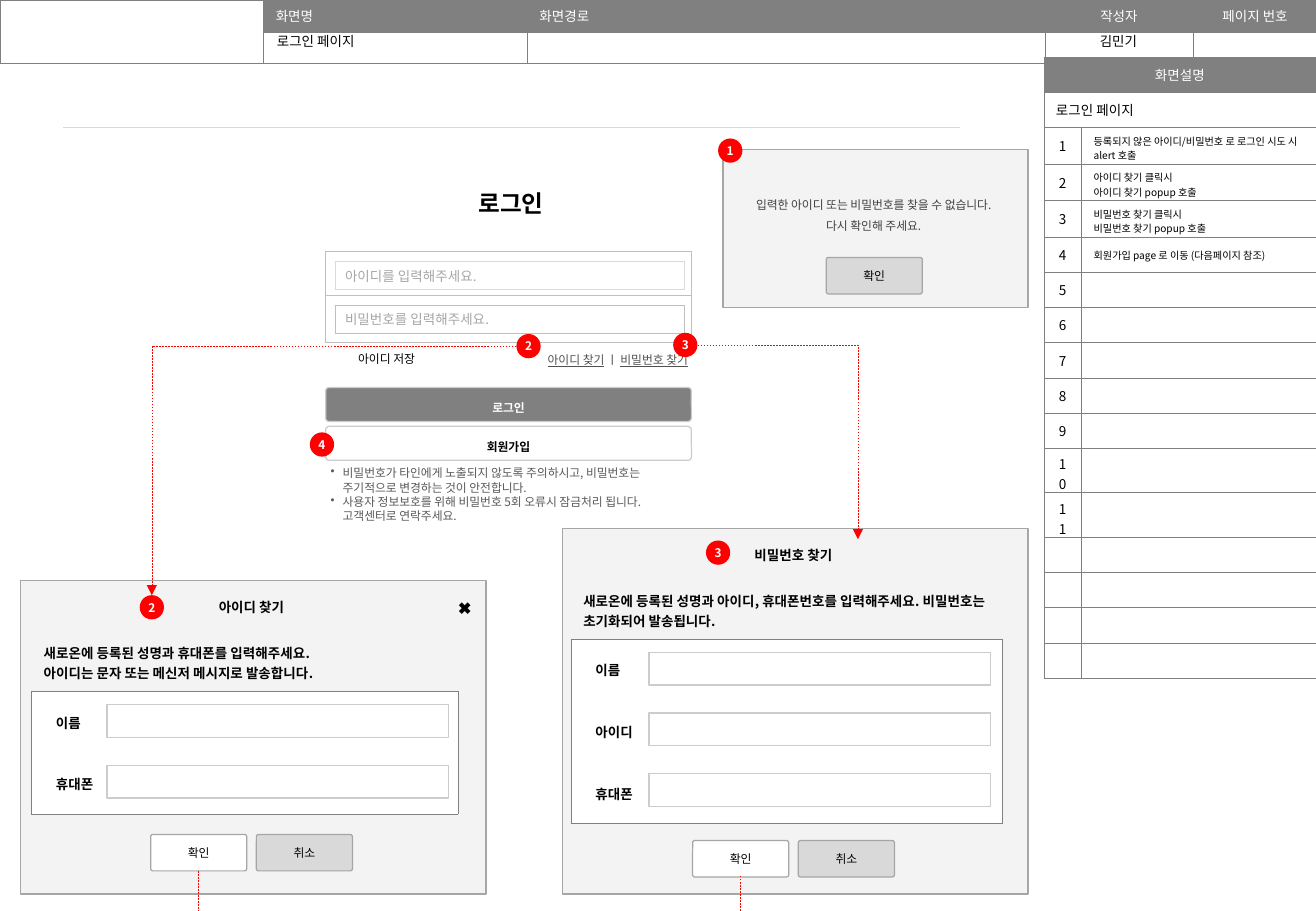
"""Build the login page wireframe slide with its screen description table."""
from lxml.etree import SubElement
from pptx import Presentation
from pptx.dml.color import RGBColor
from pptx.enum.dml import MSO_LINE
from pptx.enum.shapes import MSO_CONNECTOR, MSO_SHAPE
from pptx.enum.text import MSO_ANCHOR, PP_ALIGN
from pptx.oxml import parse_xml
from pptx.oxml.ns import nsdecls, qn
from pptx.util import Inches, Pt

FONT = "Noto Sans CJK KR"
BLACK, WHITE = RGBColor(0, 0, 0), RGBColor(255, 255, 255)
RED = RGBColor(255, 0, 0)
GRAY, MID = RGBColor(0x80, 0x80, 0x80), RGBColor(0xA6, 0xA6, 0xA6)
SILVER, FRAME = RGBColor(0xBF, 0xBF, 0xBF), RGBColor(0xCC, 0xCC, 0xCC)
LIGHT, PANEL = RGBColor(0xD9, 0xD9, 0xD9), RGBColor(0xF3, 0xF3, 0xF3)
NOTE, LINK = RGBColor(0x59, 0x59, 0x59), RGBColor(0x50, 0x50, 0x50)
ALERT = RGBColor(0x40, 0x40, 0x40)
CENTER, RIGHT = PP_ALIGN.CENTER, PP_ALIGN.RIGHT
TOP, MIDDLE = MSO_ANCHOR.TOP, MSO_ANCHOR.MIDDLE

HEADINGS = ["", "화면명", "화면경로", "작성자", "페이지 번호"]
DESCRIPTIONS = [
    ["등록되지 않은 아이디/비밀번호 로 로그인 시도 시 alert 호출"],
    ["아이디 찾기 클릭시", "아이디 찾기 popup 호출"],
    ["비밀번호 찾기 클릭시", "비밀번호 찾기 popup 호출"],
    ["회원가입 page 로 이동 (다음페이지 참조)"],
]
NUMBERED, DESCRIPTION_ROWS = 11, 15
INPUTS = [
    (2.15, "아이디를 입력해주세요.", LIGHT, 0.75),
    (2.51, "비밀번호를 입력해주세요.", SILVER, 0.25),
]
LOGIN_BUTTONS = [(3.19, "로그인", GRAY, WHITE), (3.51, "회원가입", WHITE, BLACK)]
NOTES = [
    "• 비밀번호가 타인에게 노출되지 않도록 주의하시고, 비밀번호는",
    "주기적으로 변경하는 것이 안전합니다.",
    "• 사용자 정보보호를 위해 비밀번호 5회 오류시 잠금처리 됩니다.",
    "고객센터로 연락주세요.",
]
LINKS = [("아이디 찾기", True), (" ㅣ ", False), ("비밀번호 찾기", True)]
ALERT_TEXT = ["입력한 아이디 또는 비밀번호를 찾을 수 없습니다.", "다시 확인해 주세요."]
POPUPS = [
    dict(title="아이디 찾기", x=0.17, y=4.78, h=2.58, table_x=0.26, cols=[0.83, 2.68],
         button_y=6.87, close="✖", labels=["이름", "휴대폰"],
         guide=["새로온에 등록된 성명과 휴대폰를 입력해주세요.",
                "아이디는 문자 또는 메신저 메시지로 발송합니다."]),
    dict(title="비밀번호 찾기", x=4.63, y=4.35, h=3.01, table_x=4.7, cols=[0.84, 2.71],
         button_y=6.92, close="", labels=["이름", "아이디", "휴대폰"],
         guide=["새로온에 등록된 성명과 아이디, 휴대폰번호를 입력해주세요. 비밀번호는 초기화되어 발송됩니다."]),
]
BADGES = [("2", 1.15, 4.9), ("3", 5.81, 4.45), ("1", 5.91, 1.14),
          ("2", 4.25, 2.75), ("3", 5.54, 2.74), ("4", 2.55, 3.56)]
ARROWS = [(4.25, 2.85, 1.25, 4.9), (5.74, 2.84, 7.06, 4.44)]
EXITS = [(1.63, 7.17), (6.09, 7.21)]

prs = Presentation()
prs.slide_width, prs.slide_height = Inches(10.83), Inches(7.5)
s = prs.slides.add_slide(prs.slide_layouts[6])


def write(tf, lines, size=8, color=BLACK, bold=False, align=None, spacing=None, indent=0):
    for i, line in enumerate(lines):
        p = tf.paragraphs[0] if i == 0 else tf.add_paragraph()
        if align:
            p.alignment = align
        if spacing:
            p.line_spacing = spacing
        runs = [(line, False)] if isinstance(line, str) else line
        if indent:
            pPr = p._p.get_or_add_pPr()
            pPr.set("marL", str(Inches(indent)))
            if line.startswith("• "):
                pPr.set("indent", str(-Inches(indent)))
                SubElement(pPr, qn("a:buChar")).set("char", "•")
                runs = [(line[2:], False)]
        for content, underline in runs:
            r = p.add_run()
            r.text = content
            f = r.font
            f.name, f.size, f.bold, f.underline = FONT, Pt(size), bold, underline
            f.color.rgb = color
            SubElement(r._r.get_or_add_rPr(), qn("a:ea")).set("typeface", FONT)


def margins(o, dx, dy):
    o.margin_left = o.margin_right = Inches(dx)
    o.margin_top = o.margin_bottom = Inches(dy)


def textbox(x, y, w, h, lines, inset=(0.1, 0.05), anchor=TOP, **fmt):
    tf = s.shapes.add_textbox(*map(Inches, (x, y, w, h))).text_frame
    tf.word_wrap, tf.vertical_anchor = True, anchor
    margins(tf, *inset)
    write(tf, lines, **fmt)


def box(x, y, w, h, lines=(), fill=None, line=None, adj=0, inset=0, **fmt):
    sp = s.shapes.add_shape(MSO_SHAPE.ROUNDED_RECTANGLE, *map(Inches, (x, y, w, h)))
    sp.adjustments[0] = adj
    sp.shadow.inherit = False
    for part, color in ((sp.fill, fill), (sp.line.fill, line)):
        if color is None:
            part.background()
        else:
            part.solid()
            part.fore_color.rgb = color
    if line is not None:
        sp.line.width = Pt(0.75)
    tf = sp.text_frame
    tf.word_wrap, tf.vertical_anchor = True, MIDDLE
    margins(tf, inset, inset)
    write(tf, lines, **fmt)


def button(x, y, label, fill):
    box(x, y, 0.79, 0.3, [label], fill, MID, 0.06, 0.1, size=7, align=CENTER)


def style_cell(cell, fill=None, sides="LRTB", color=GRAY, width=0.25):
    if fill is None:
        cell.fill.background()
    else:
        cell.fill.solid()
        cell.fill.fore_color.rgb = fill
    tcPr = cell._tc.get_or_add_tcPr()
    for i, side in enumerate("LRTB"):
        paint = (f'<a:solidFill><a:srgbClr val="{color}"/></a:solidFill>'
                 if side in sides else "<a:noFill/>")
        tcPr.insert(i, parse_xml(
            f'<a:ln{side} {nsdecls("a")} w="{Pt(width)}">{paint}</a:ln{side}>'))
    cell.text_frame.paragraphs[0]._p.get_or_add_endParaRPr().set("sz", "800")


def table(x, y, cols, rows, **style):
    t = s.shapes.add_table(len(rows), len(cols), *map(
        Inches, (x, y, sum(cols), sum(rows)))).table
    t.first_row = t.horz_banding = False
    for i, w in enumerate(cols):
        t.columns[i].width = Inches(w)
    for i, h in enumerate(rows):
        t.rows[i].height = Inches(h)
    for cell in t.iter_cells() if style.get("sides") != "" else ():
        style_cell(cell, **style)
    return t


def fill_cell(cell, lines, inset=(0.1, 0.05), anchor=MIDDLE, **fmt):
    cell.vertical_anchor = anchor
    cell.margin_left = cell.margin_right = Inches(inset[0])
    cell.margin_top = cell.margin_bottom = Inches(inset[1])
    write(cell.text_frame, lines, **fmt)


def connector(kind, x1, y1, x2, y2, color, width):
    c = s.shapes.add_connector(kind, *map(Inches, (x1, y1, x2, y2)))
    c.line.color.rgb, c.line.width = color, Pt(width)
    SubElement(c._element.spPr, qn("a:effectLst"))
    return c


def popup(title, x, y, h, table_x, cols, button_y, close, labels, guide):
    box(x, y, 3.83, h, fill=PANEL, line=MID)
    box(x + 0.15, y + 0.07, 3.5, 0.3, [title], bold=True)
    if close:
        box(x + 3.52, y + 0.07, 0.27, 0.3, [close], size=10, align=CENTER)
    for i, label in enumerate(("확인", "취소")):
        button(x + 1.07 + 0.87 * i, button_y, label, (WHITE, LIGHT)[i])
    n = len(labels)
    t = table(table_x, y + 0.44, cols, [0.47] + [0.51] * (n - 1) + [0.5], sides="")
    for row in range(n + 1):
        for col in range(2):
            sides = "B" if row == 0 else "LR"[col] + "T" * (row == 1) + "B" * (row == n)
            style_cell(t.cell(row, col), WHITE if row else None, sides)
    t.cell(0, 0).merge(t.cell(0, 1))
    fill_cell(t.cell(0, 0), guide, bold=True)
    for i, label in enumerate(labels):
        fill_cell(t.cell(i + 1, 0), [label], (0.2, 0.05), bold=True)
        box(x + 0.71, y + 1.02 + 0.5 * i, 2.81, 0.27, fill=WHITE, line=FRAME)


header = table(0, 0, [2.17, 2.17, 4.26, 1.22, 1.02], [0.26, 0.26])
header.cell(0, 0).merge(header.cell(1, 0))
for i, heading in enumerate(HEADINGS):
    if heading:
        cell = header.cell(0, i)
        cell.fill.solid()
        cell.fill.fore_color.rgb = GRAY
        fill_cell(cell, [heading], anchor=TOP, color=WHITE, align=CENTER if i > 2 else None)
textbox(8.59, 0.22, 1.23, 0.24, ["김민기"], align=CENTER)
textbox(2.18, 0.22, 2.15, 0.24, ["로그인 페이지"])

info = table(8.59, 0.47, [0.31, 1.93], [0.29] * (DESCRIPTION_ROWS + 2))
for row, label in enumerate(("화면설명", "로그인 페이지")):
    info.cell(row, 0).merge(info.cell(row, 1))
    fill_cell(info.cell(row, 0), [label], color=BLACK if row else WHITE,
              align=None if row else CENTER)
info.cell(0, 0).fill.solid()
info.cell(0, 0).fill.fore_color.rgb = GRAY
for i in range(NUMBERED):
    fill_cell(info.cell(i + 2, 0), [str(i + 1)], align=CENTER)
for i, lines in enumerate(DESCRIPTIONS):
    fill_cell(info.cell(i + 2, 1), lines, size=6)

connector(MSO_CONNECTOR.STRAIGHT, 0.52, 1.05, 7.9, 1.05, LIGHT, 0.75)
textbox(1.99, 1.53, 4.43, 0.28, ["로그인"], (0.04, 0.04), MIDDLE, size=14, bold=True, align=CENTER)
table(2.68, 2.07, [3.01], [0.36, 0.39], color=SILVER)
for y, hint, color, width in INPUTS:
    t = table(2.76, y, [2.87], [0.23], fill=WHITE, color=color, width=width)
    fill_cell(t.cell(0, 0), [hint], (0.08, 0.02), color=MID)
for y, label, fill, color in LOGIN_BUTTONS:
    box(2.68, y, 3.01, 0.28, [label], fill, FRAME, 0.1, 0.02,
        size=7, color=color, bold=True, align=CENTER, spacing=1.5)
textbox(2.68, 3.81, 3.01, 0.52, NOTES, (0.04, 0.04), MIDDLE, size=7, color=NOTE, indent=0.1)
box(3.66, 2.82, 2.1, 0.23, [LINKS], inset=0.1, size=7, color=LINK, align=RIGHT, spacing=1.5)
textbox(2.85, 2.85, 0.77, 0.22, ["아이디 저장"], size=7)

for spec_of_popup in POPUPS:
    popup(**spec_of_popup)

box(5.95, 1.23, 2.51, 1.3, fill=PANEL, line=MID)
button(6.8, 2.12, "확인", LIGHT)
box(5.93, 1.41, 2.52, 0.67, ALERT_TEXT, inset=0.1, size=7, color=ALERT, align=CENTER, spacing=1.5)

for number, x, y in BADGES:
    box(x, y, 0.2, 0.2, [number], RED, adj=0.5, size=7, color=WHITE, bold=True, align=CENTER)
for ends in ARROWS:
    c = connector(MSO_CONNECTOR.ELBOW, *ends, RED, 0.25)
    c.line.dash_style = MSO_LINE.DASH
    c._element.spPr.find(qn("a:prstGeom")).set("prst", "bentConnector2")
    SubElement(c.line._get_or_add_ln(), qn("a:tailEnd")).set("type", "triangle")
for x, y in EXITS:
    connector(MSO_CONNECTOR.STRAIGHT, x, y, x, 7.5, RED, 0.25).line.dash_style = MSO_LINE.DASH

prs.save("out.pptx")
